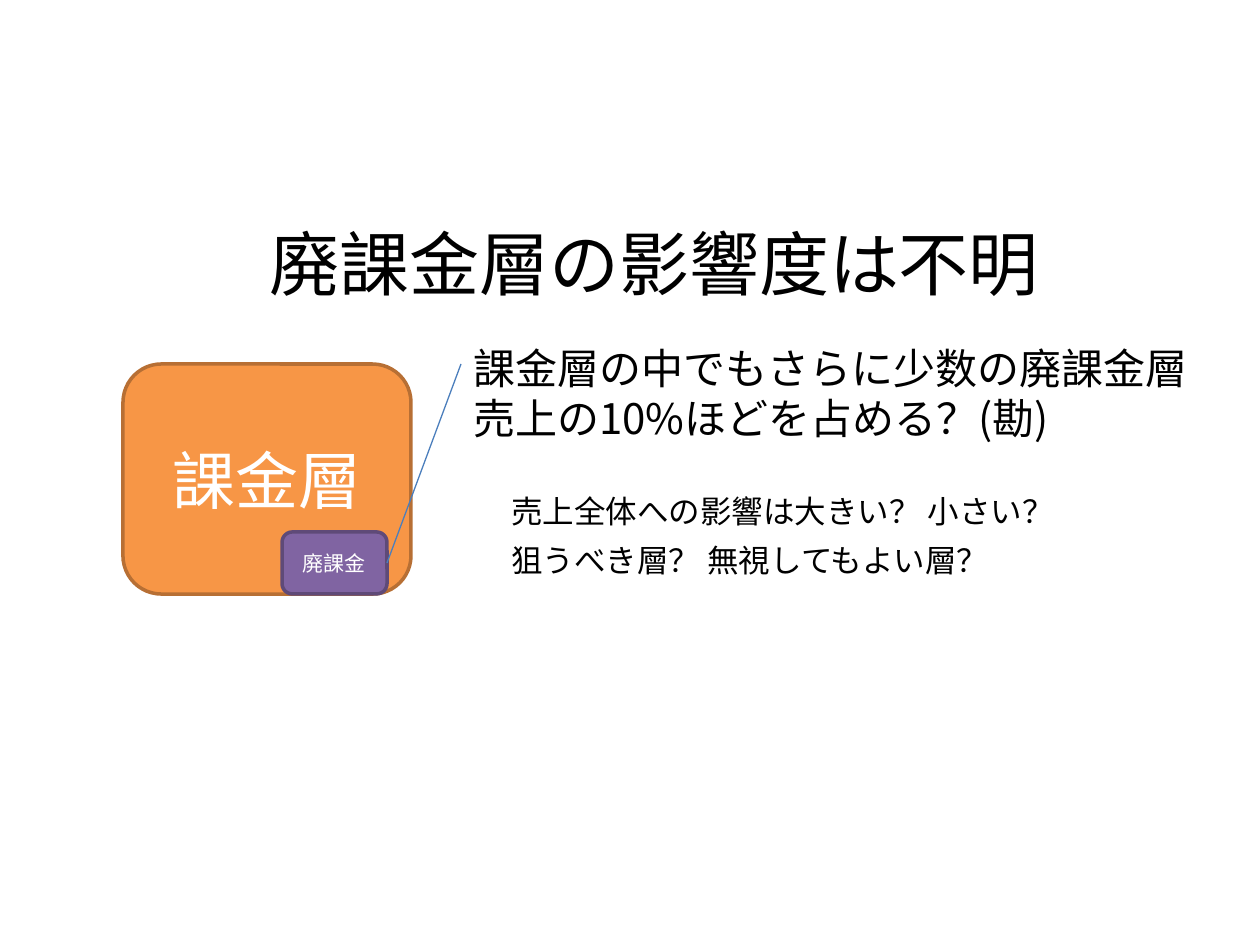
from lxml.etree import SubElement
from pptx import Presentation
from pptx.dml.color import RGBColor
from pptx.enum.shapes import MSO_CONNECTOR, MSO_SHAPE
from pptx.enum.text import MSO_ANCHOR, MSO_AUTO_SIZE, PP_ALIGN
from pptx.oxml.ns import qn
from pptx.util import Pt

FONT = "Noto Sans CJK JP"
EMU_PER_PX = 914400 / 126
COLORS = {
    "text": "000000",
    "label": "FFFFFF",
    "payers": "F79646",
    "payers_edge": "B76F34",
    "whales": "8064A2",
    "whales_edge": "5F4A78",
    "callout": "4B7EBC",
}

TITLE = ("廃課金層の影響度は不明", (257, 214, 803, 97), 40)
SEGMENTS = [
    ("課金層", (123, 364, 288, 230), 36, "payers"),
    ("廃課金", (282, 532, 105, 62), 12, "whales"),
]
CALLOUT_END = (461, 364)
NOTES = [
    (["課金層の中でもさらに少数の廃課金層", "売上の10%ほどを占める？(勘)"], (461, 336, 774, 115), 24, True),
    (["売上全体への影響は大きい？ 小さい？"], (499, 486, 577, 50), 18, False),
    (["狙うべき層？ 無視してもよい層？"], (499, 535, 513, 50), 18, False),
]


def px(*lengths):
    return [round(length * EMU_PER_PX) for length in lengths]


def rgb(name):
    return RGBColor.from_string(COLORS[name])


def write(frame, lines, size, color, align, anchor, wrap):
    frame.text = "\n".join(lines)
    frame.auto_size = MSO_AUTO_SIZE.NONE
    frame.word_wrap = wrap
    frame.vertical_anchor = anchor
    for paragraph in frame.paragraphs:
        paragraph.alignment = align
        for run in paragraph.runs:
            run.font.size = Pt(size)
            run.font.name = FONT
            run.font.color.rgb = rgb(color)
            SubElement(run.font._element, qn("a:ea")).set("typeface", FONT)


def add_segment(slide, label, box, size, color):
    segment = slide.shapes.add_shape(MSO_SHAPE.ROUNDED_RECTANGLE, *px(*box))
    segment.shadow.inherit = False
    segment.fill.solid()
    segment.fill.fore_color.rgb = rgb(color)
    segment.line.color.rgb = rgb(color + "_edge")
    segment.line.width = Pt(2)
    write(segment.text_frame, [label], size, "label", PP_ALIGN.CENTER, MSO_ANCHOR.MIDDLE, True)
    return segment


def add_callout(slide, source, end):
    callout = slide.shapes.add_connector(MSO_CONNECTOR.STRAIGHT, 0, 0, *px(*end))
    callout.begin_connect(source, 3)
    callout.line.color.rgb = rgb("callout")
    callout.line.width = Pt(0.75)
    SubElement(callout._element.spPr, qn("a:effectLst"))


def main():
    deck = Presentation()
    deck.slide_width, deck.slide_height = px(1260, 945)
    slide = deck.slides.add_slide(deck.slide_layouts[5])

    heading, box, size = TITLE
    title = slide.shapes.title
    title.left, title.top, title.width, title.height = px(*box)
    write(title.text_frame, [heading], size, "text", PP_ALIGN.LEFT, MSO_ANCHOR.TOP, False)

    payers, whales = [add_segment(slide, *segment) for segment in SEGMENTS]
    add_callout(slide, whales, CALLOUT_END)

    for lines, box, size, wrap in NOTES:
        note = slide.shapes.add_textbox(*px(*box))
        write(note.text_frame, lines, size, "text", PP_ALIGN.LEFT, MSO_ANCHOR.TOP, wrap)

    deck.save("out.pptx")


if __name__ == "__main__":
    main()
